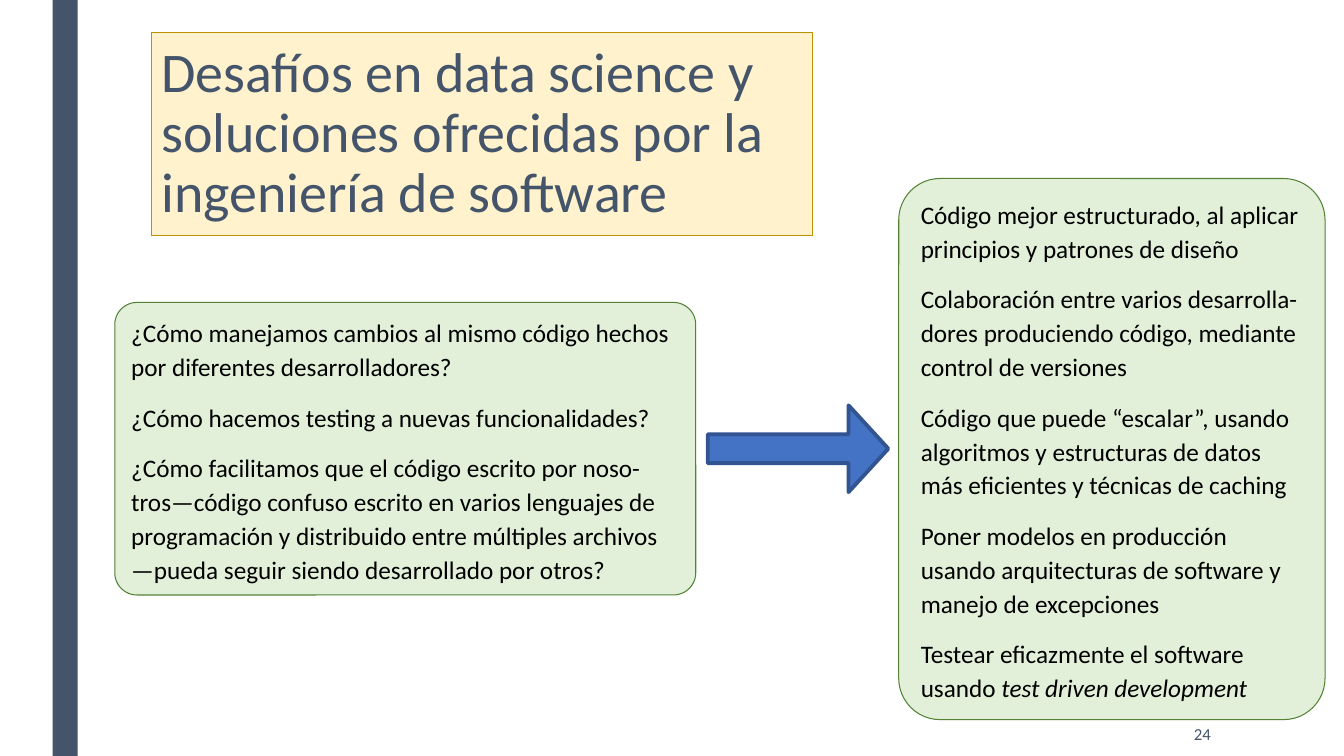
from pptx import Presentation
from pptx.dml.color import RGBColor
from pptx.enum.shapes import MSO_SHAPE
from pptx.enum.text import MSO_ANCHOR, MSO_AUTO_SIZE, PP_ALIGN
from pptx.util import Pt

RECTANGLE, ROUNDED, ARROW = MSO_SHAPE.RECTANGLE, MSO_SHAPE.ROUNDED_RECTANGLE, MSO_SHAPE.RIGHT_ARROW
TOP, MIDDLE = MSO_ANCHOR.TOP, MSO_ANCHOR.MIDDLE
NO_FIT, GROW = MSO_AUTO_SIZE.NONE, MSO_AUTO_SIZE.SHAPE_TO_FIT_TEXT
LEFT, RIGHT = PP_ALIGN.LEFT, PP_ALIGN.RIGHT

THEME = {
    "font": "Calibri",
    "sizes": {"title": 40, "body": 18, "number": 12},
    "colors": {
        "slate": "44546A", "black": "000000",
        "cream": "FFF2CC", "gold": "BF9000",
        "mint": "E2F0D9", "green": "548235",
        "blue": "4472C4", "navy": "325491",
    },
}


def paint(shape, fill, line=None, width=0.75):
    shape.fill.solid()
    shape.fill.fore_color.rgb = RGBColor.from_string(THEME["colors"][fill])
    if line:
        shape.line.color.rgb = RGBColor.from_string(THEME["colors"][line])
        shape.line.width = Pt(width)
    else:
        shape.line.fill.background()


def write(box, paragraphs, size, color, frame_format, para_format):
    frame = box.text_frame
    for name, value in {"word_wrap": True, **frame_format}.items():
        setattr(frame, name, value)
    for index, spans in enumerate(paragraphs):
        para = frame.add_paragraph() if index else frame.paragraphs[0]
        for name, value in para_format.items():
            setattr(para, name, value)
        for text, italic in spans:
            span = para.add_run()
            span.text = text
            span.font.color.rgb = RGBColor.from_string(THEME["colors"][color])
            font_format = {"name": THEME["font"], "size": Pt(THEME["sizes"][size]), "italic": italic}
            for name, value in font_format.items():
                setattr(span.font, name, value)


deck = Presentation()
deck.slide_width, deck.slide_height = Pt(960), Pt(540)
page = deck.slides.add_slide(deck.slide_layouts[5])

side_bar = page.shapes.add_shape(RECTANGLE, Pt(37.5), Pt(0), Pt(18), Pt(540))
side_bar.shadow.inherit = False
paint(side_bar, "slate")

title = page.shapes.title
title_place = {"left": 108, "top": 23.5, "width": 472.5, "height": 145}
for name, value in title_place.items():
    setattr(title, name, Pt(value))
paint(title, "cream", "gold")
write(
    title,
    [[("Desafíos en data science y soluciones ofrecidas por la ingeniería de software", None)]],
    "title", "slate",
    {"vertical_anchor": MIDDLE, "auto_size": NO_FIT},
    {"alignment": LEFT, "line_spacing": 0.89},
)

page_number = page.shapes.add_textbox(Pt(746), Pt(508.5), Pt(126), Pt(31.5))
write(page_number, [[("24", None)]], "number", "slate", {"vertical_anchor": MIDDLE}, {"alignment": RIGHT})

challenges = [
    [("¿Cómo manejamos cambios al mismo código hechos por diferentes desarrolladores?", None)],
    [("¿Cómo hacemos testing a nuevas funcionalidades?", None)],
    [("¿Cómo facilitamos que el código escrito por noso-tros—código confuso escrito en varios "
      "lenguajes de programación y distribuido entre múltiples archivos —pueda seguir siendo "
      "desarrollado por otros?", None)],
]
solutions = [
    [("Código mejor estructurado, al aplicar principios y patrones de diseño", None)],
    [("Colaboración entre varios desarrolla-dores produciendo código, mediante control de versiones", None)],
    [("Código que puede “escalar”, usando algoritmos y estructuras de datos más eficientes "
      "y técnicas de caching", None)],
    [("Poner modelos en producción usando arquitecturas de software y manejo de excepciones", None)],
    [("Testear eficazmente el software usando ", None), ("test driven development", True)],
]
cards = [
    ((82, 216, 415, 209), 0.076, challenges),
    ((642, 127.5, 304.5, 386.5), 0.097, solutions),
]
for place, corner, paragraphs in cards:
    card = page.shapes.add_shape(ROUNDED, *map(Pt, place))
    card.adjustments[0] = corner
    card.shadow.inherit = False
    paint(card, "mint", "green")
    write(
        card, paragraphs, "body", "black",
        {"vertical_anchor": TOP, "auto_size": GROW},
        {"alignment": LEFT, "line_spacing": 1.12, "space_before": Pt(12)},
    )

arrow = page.shapes.add_shape(ARROW, Pt(505.5), Pt(289.5), Pt(129), Pt(62))
arrow.adjustments[0], arrow.adjustments[1] = 0.333, 0.458
arrow.shadow.inherit = False
paint(arrow, "blue", "navy", 2.75)

deck.save("out.pptx")
